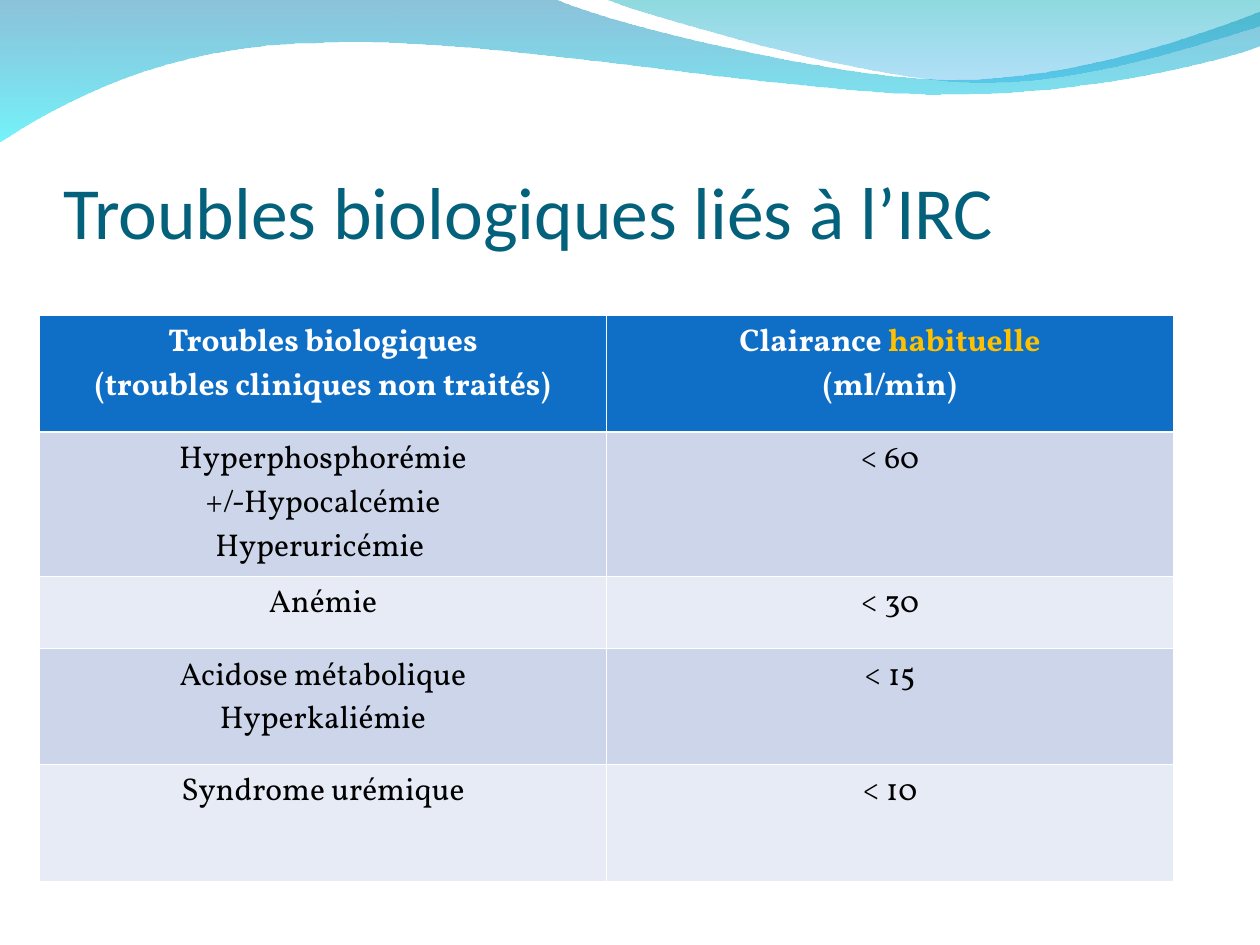
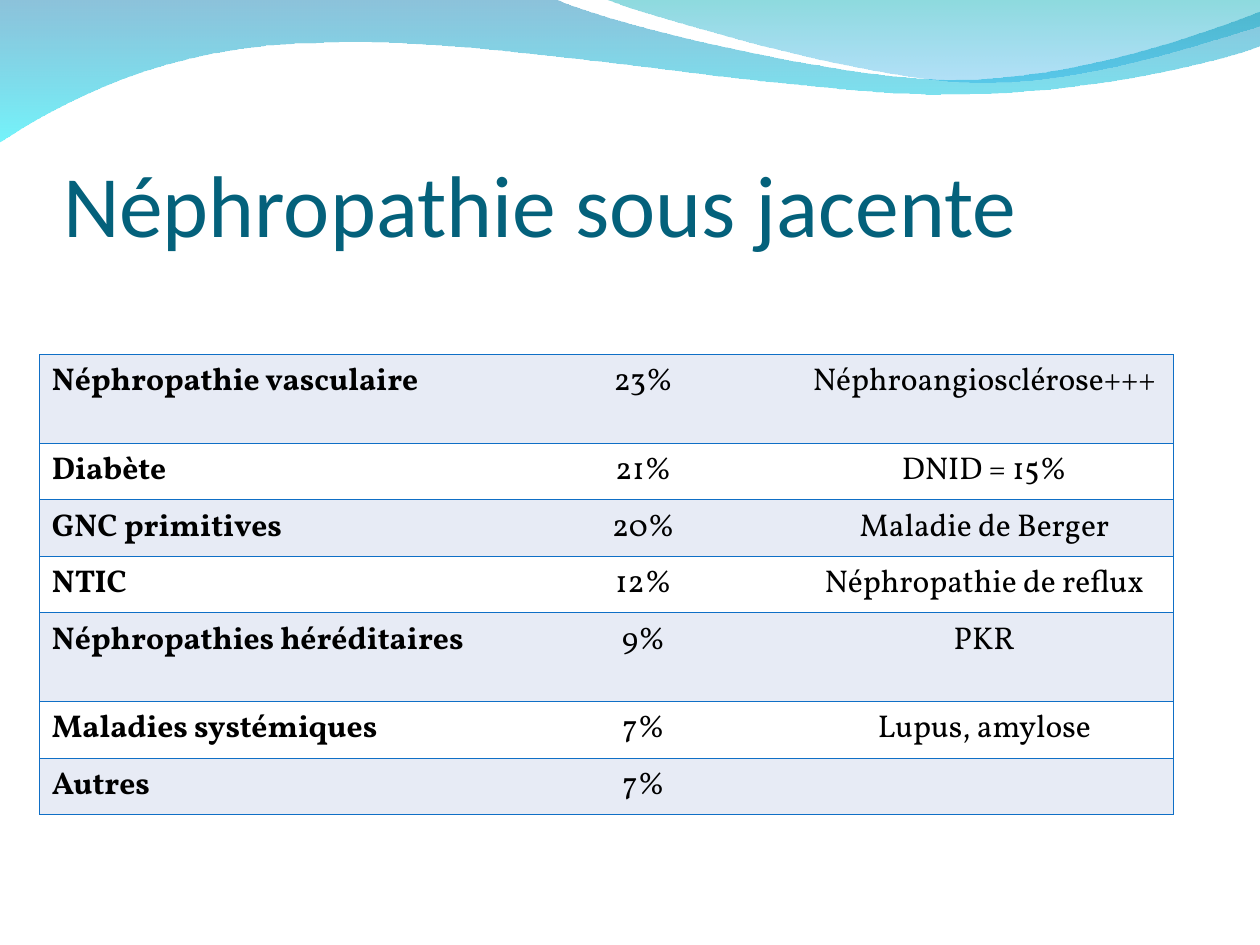
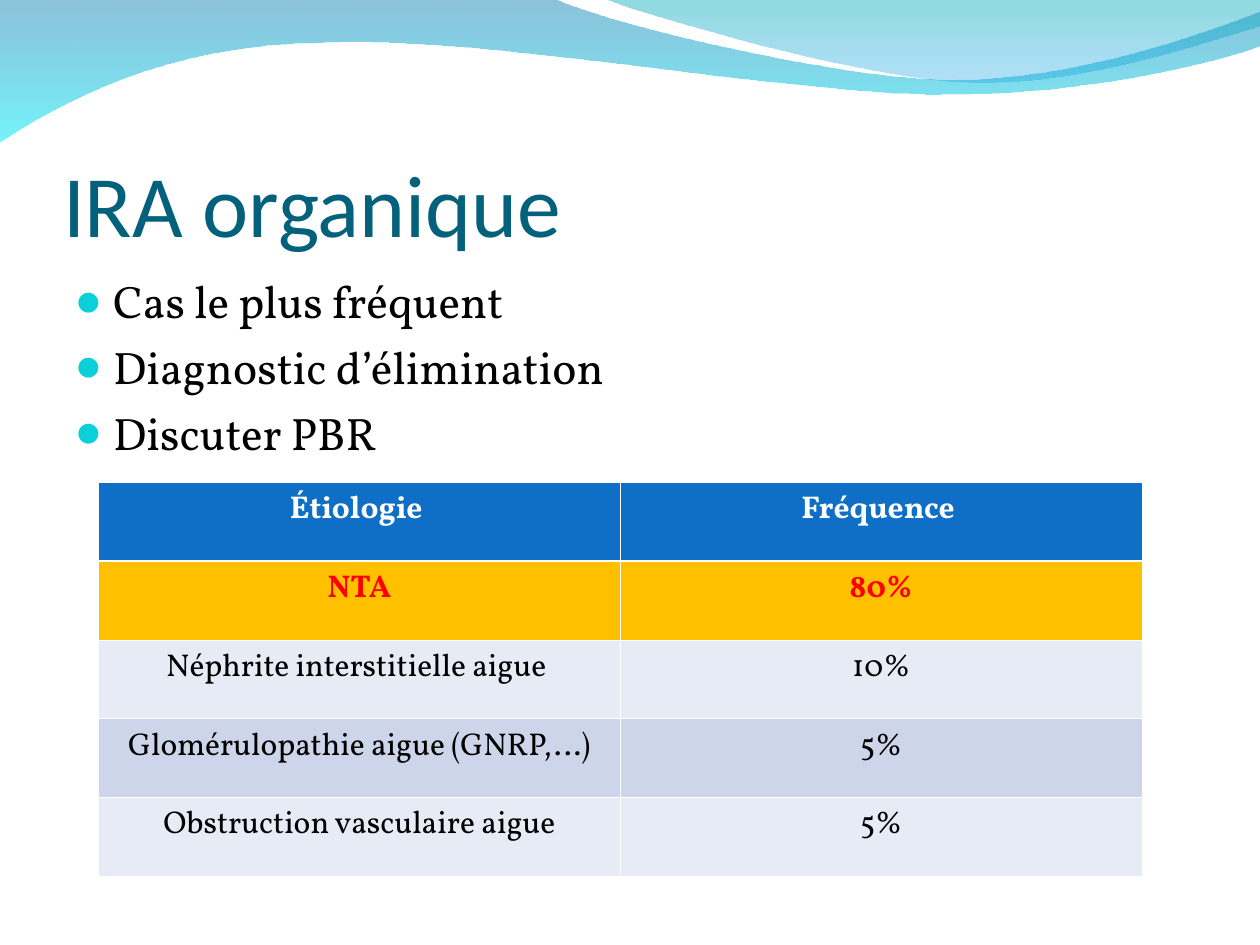
from lxml.etree import SubElement
from pptx import Presentation
from pptx.dml.color import RGBColor
from pptx.enum.text import MSO_ANCHOR, MSO_AUTO_SIZE, PP_ALIGN
from pptx.oxml.ns import qn
from pptx.util import Pt

# Shared look
HEAD, BODY = "Calibri", "Vollkorn"
TEAL, CYAN, BLUE, GOLD = "04617B", "0BD0D9", "0F6FC6", "FFC000"
WHITE, BLACK, RED, MID, PALE = "FFFFFF", "000000", "FF0000", "CCD5EA", "E7EBF5"
THIN, THICK = 0.45, 1.47

# Row looks: fill, text colour, bold
LOOKS = {
    "head": (BLUE, WHITE, True),
    "alert": (GOLD, RED, True),
    "mid": (MID, BLACK, False),
    "pale": (PALE, BLACK, False),
    "white": (WHITE, BLACK, False),
}

# Waves: start, then lines (one point) and curves (three points);
# gradient stops are colour and opacity in percent
WAVES = [
    ((0, -0.7),
     [[(316.8, -0.7)],
      [(342.7, 12.2), (478.1, 45.4), (545.8, 45.4)],
      [(614.2, 45.4), (689.8, 18.7), (720, 6.5)],
      [(720.7, 25.9)],
      [(707.8, 31.7), (626.4, 54.7), (537.1, 54)],
      [(447.8, 54), (275, 20.2), (185, 24.5)],
      [(92.9, 25.2), (33.1, 59.8), (-0.7, 81.4)]],
     [("0079AF", 45), ("00EBF8", 55)]),
    ((344.9, -0.7),
     [[(366.5, 7.9), (491, 44.6), (553.7, 46.8)],
      [(616.3, 49.7), (691.9, 23), (720, 15.1)],
      [(720, 0)]],
     [("00ADB6", 45), ("009BE5", 30)]),
]

# Content: a line break starts a paragraph, *stars* mark gold words
SLIDES = [
    {"title": "Troubles biologiques liés à l’IRC", "size": 42,
     "at": (22.5, 180), "cols": [324, 324], "grid": True,
     "rows": [
         (67, "head", ["Troubles biologiques\n(troubles cliniques non traités)",
                       "Clairance *habituelle*\n(ml/min)"]),
         (79, "mid", ["Hyperphosphorémie\n+/-Hypocalcémie\nHyperuricémie ", "< 60"]),
         (41.25, "pale", ["Anémie", "< 30"]),
         (66, "mid", ["Acidose métabolique\nHyperkaliémie", "< 15"]),
         (66.75, "pale", ["Syndrome urémique", "< 10"]),
     ]},
    {"title": "Néphropathie sous jacente", "size": 50,
     "at": (22.5, 202.5), "cols": [258.5, 173.5, 216], "grid": False,
     "rows": [
         (50.75, "pale", ["Néphropathie vasculaire", "23%", "Néphroangiosclérose+++"]),
         (29, "white", ["Diabète", "21%", "DNID = 15%"]),
         (29, "pale", ["GNC primitives", "20%", "Maladie de Berger"]),
         (29, "white", ["NTIC", "12%", "Néphropathie de reflux"]),
         (50.75, "pale", ["Néphropathies héréditaires", "9%", "PKR"]),
         (29, "white", ["Maladies systémiques", "7%", "Lupus, amylose"]),
         (29, "pale", ["Autres", "7%", ""]),
     ]},
    {"title": "IRA organique", "size": 50,
     "bullets": ["Cas le plus fréquent", "Diagnostic d’élimination", "Discuter PBR"],
     "at": (56.25, 275.75), "cols": [298.25, 298.25], "grid": True,
     "rows": [
         (45, "head", ["Étiologie ", "Fréquence "]),
         (45, "alert", ["NTA", "80%"]),
         (45, "pale", ["Néphrite interstitielle aigue ", "10%"]),
         (45, "mid", ["Glomérulopathie aigue (GNRP,…)", "5%"]),
         (45, "pale", ["Obstruction vasculaire aigue", "5%"]),
     ]},
]


def rgb(code):
    return RGBColor.from_string(code)


def add(parent, tag, **attrs):
    node = SubElement(parent, qn(tag))
    for key, val in attrs.items():
        node.set(key, str(val))
    return node


def write(para, text, font, size, color, bold=False):
    run = para.add_run()
    run.text = text
    run.font.name, run.font.size, run.font.bold = font, Pt(size), bold
    run.font.color.rgb = rgb(color)


# Waves
def bend(shape, parts):
    lines = list(shape.element.iter(qn("a:lnTo")))
    for line, part in zip(lines, parts):
        if len(part) == 3:
            curve = add(line.getparent(), "a:cubicBezTo")
            for x, y in part:
                add(curve, "a:pt", x=Pt(x) - shape.left, y=Pt(y) - shape.top)
            line.getparent().replace(line, curve)


def wave(slide, start, parts, stops):
    pen = slide.shapes.build_freeform(Pt(start[0]), Pt(start[1]))
    ends = [part[-1] for part in parts]
    pen.add_line_segments([(Pt(x), Pt(y)) for x, y in ends], close=True)
    shape = pen.convert_to_shape()
    bend(shape, parts)
    shape.shadow.inherit = False
    shape.line.fill.background()
    shape.fill.gradient()
    shape.fill.gradient_angle = 270
    box = shape.element.spPr.find(qn("a:gradFill")).find(qn("a:gsLst"))
    for old in list(box):
        box.remove(old)
    for pos, (color, alpha) in zip((0, 100000), stops):
        stop = add(box, "a:gs", pos=pos)
        add(add(stop, "a:srgbClr", val=color), "a:alpha", val=alpha * 1000)
    return shape


def share(slide):
    """Draw the waves once and move them behind the layout's parts."""
    tree = slide.slide_layout.shapes.element
    for i, item in enumerate(WAVES):
        node = wave(slide, *item).element
        node.nvSpPr.cNvPr.set("id", str(100 + i))
        tree.insert(2 + i, node)


# Title and bullets
def head(slide, text, size):
    shape = slide.shapes.title
    shape.left, shape.top, shape.width, shape.height = Pt(36), Pt(55.5), Pt(648), Pt(90)
    frame = shape.text_frame
    frame.auto_size, frame.word_wrap = MSO_AUTO_SIZE.NONE, True
    frame.vertical_anchor = MSO_ANCHOR.BOTTOM
    frame.margin_left = frame.margin_right = frame.margin_bottom = 0
    frame.margin_top = Pt(3.6)
    para = frame.paragraphs[0]
    para.alignment = PP_ALIGN.LEFT
    write(para, text, HEAD, size, TEAL)


def points(slide, items):
    frame = slide.shapes.add_textbox(Pt(36), Pt(152.5), Pt(648), Pt(345.5)).text_frame
    frame.word_wrap = True
    for i, item in enumerate(items):
        para = frame.add_paragraph() if i else frame.paragraphs[0]
        para.space_before = Pt(6.5)
        write(para, item, BODY, 26, BLACK)
        props = para._p.get_or_add_pPr()
        props.set("marL", str(Pt(21.6)))
        props.set("indent", str(-Pt(21.6)))
        add(add(props, "a:buClr"), "a:srgbClr", val=CYAN)
        add(props, "a:buSzPct", val=95000)
        add(props, "a:buFont", typeface=HEAD)
        add(props, "a:buChar", char="●")


# Table
def edge(cell, side, width, color):
    line = add(cell._tc.get_or_add_tcPr(), "a:ln" + side, w=Pt(width))
    if color:
        add(add(line, "a:solidFill"), "a:srgbClr", val=color)
    else:
        add(line, "a:noFill")


def fill(cell, text, look, first):
    back, color, bold = LOOKS[look]
    cell.fill.solid()
    cell.fill.fore_color.rgb = rgb(back)
    for i, row in enumerate(text.split("\n")):
        frame = cell.text_frame
        para = frame.add_paragraph() if i else frame.paragraphs[0]
        para.alignment = PP_ALIGN.LEFT if first else PP_ALIGN.CENTER
        for k, bit in enumerate(row.split("*")):
            if bit:
                write(para, bit, BODY, 18, GOLD if k % 2 else color, bold or first)


def grid(slide, at, cols, rows, full):
    high = sum(row[0] for row in rows)
    table = slide.shapes.add_table(len(rows), len(cols), Pt(at[0]), Pt(at[1]),
                                   Pt(sum(cols)), Pt(high)).table
    table.first_row = table.horz_banding = False
    for col, wide in zip(table.columns, cols):
        col.width = Pt(wide)
    for r, (tall, look, texts) in enumerate(rows):
        table.rows[r].height = Pt(tall)
        for c, text in enumerate(texts):
            cell = table.cell(r, c)
            color = WHITE if full else BLUE
            edge(cell, "L", THIN, color if full or c == 0 else None)
            edge(cell, "R", THIN, color if full or c == len(cols) - 1 else None)
            edge(cell, "T", THICK if full and r == 1 else THIN, color)
            edge(cell, "B", THICK if full and r == 0 else THIN, color)
            fill(cell, text, look, not full and c == 0)


def main():
    deck = Presentation()
    deck.slide_width, deck.slide_height = Pt(720), Pt(540)
    for i, data in enumerate(SLIDES):
        slide = deck.slides.add_slide(deck.slide_layouts[5])
        if i == 0:
            share(slide)
        head(slide, data["title"], data["size"])
        if "bullets" in data:
            points(slide, data["bullets"])
        grid(slide, data["at"], data["cols"], data["rows"], data["grid"])
    deck.save("out.pptx")


if __name__ == "__main__":
    main()
